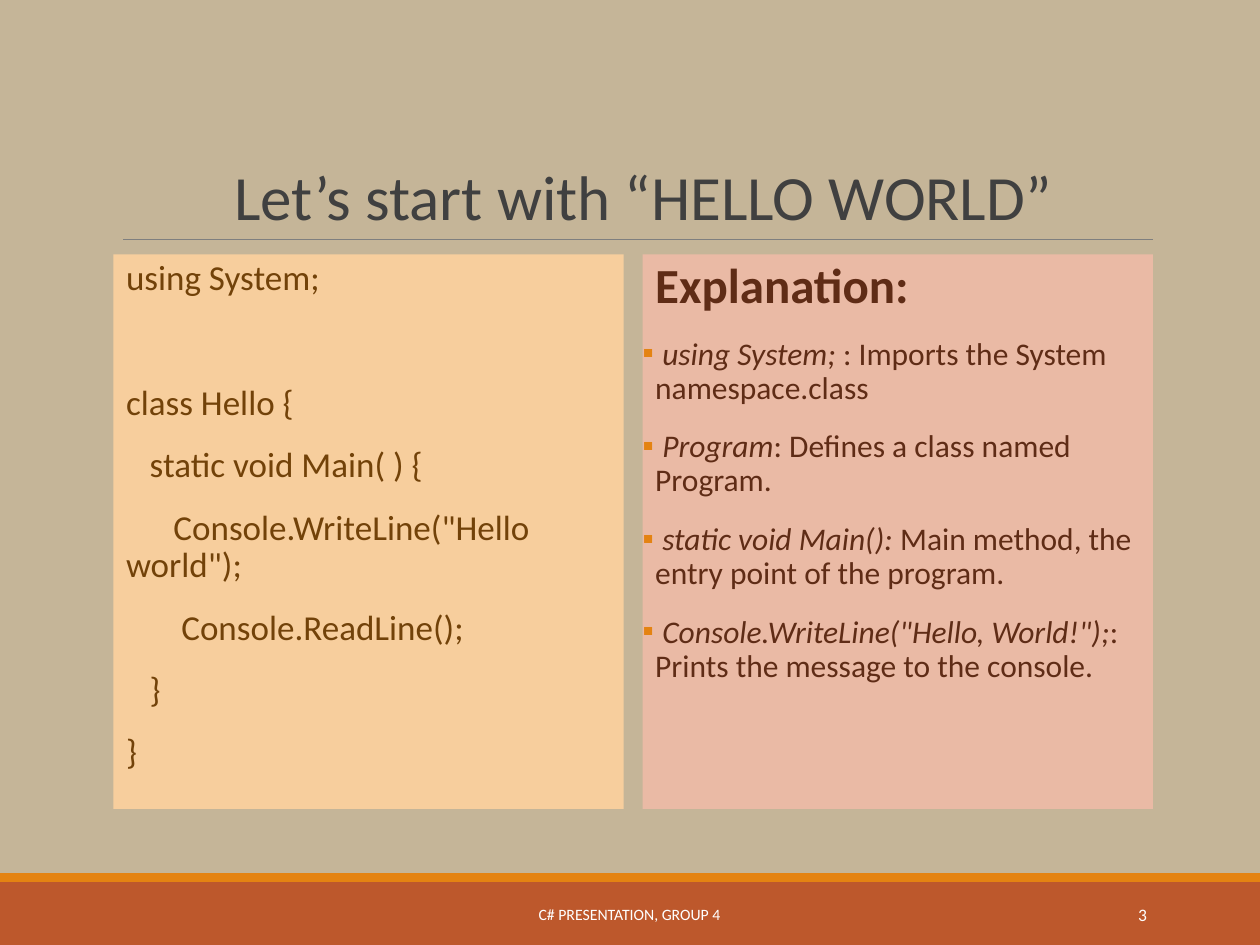
from lxml.etree import SubElement
from pptx import Presentation
from pptx.dml.color import RGBColor
from pptx.enum.shapes import MSO_CONNECTOR, MSO_SHAPE
from pptx.enum.text import MSO_ANCHOR as Anchor, PP_ALIGN as Align
from pptx.oxml.ns import qn
from pptx.util import Inches, Pt

SAND = RGBColor(0xC5, 0xB5, 0x98)
RUST = RGBColor(0xBD, 0x58, 0x2C)
ORANGE = RGBColor(0xE4, 0x83, 0x12)
GREY = RGBColor(0x7F, 0x7F, 0x7F)
CHARCOAL = RGBColor(0x40, 0x40, 0x40)
PEACH = RGBColor(0xF7, 0xCE, 0x9D)
PINK = RGBColor(0xEA, 0xBA, 0xA5)
BROWN = RGBColor(0x72, 0x42, 0x09)
MAROON = RGBColor(0x5F, 0x2C, 0x16)
WHITE = RGBColor(0xFF, 0xFF, 0xFF)

COLUMNS, ROWS = 200, 150
MARGIN, CONTENT_WIDTH, GUTTER = 18, 165, 3
PANEL_WIDTH = (CONTENT_WIDTH - GUTTER) / 2
PANEL_TOP, PANEL_HEIGHT = 40.4, 88
FOOTER_TOP, FOOTER_HEIGHT = 141.2, 8

CODE = [
    ("using System;", 0),
    ("class Hello {", 47.6),
    ("   static void Main( ) {", 12),
    ('      Console.WriteLine("Hello world");', 12),
    ("       Console.ReadLine();", 12),
    ("   }", 12),
    ("}", 12),
]
EXPLANATIONS = [
    (" using System; ", ": Imports the System namespace.class"),
    (" Program", ": Defines a class named Program."),
    (" static void Main(): ", "Main method, the entry point of the program."),
    (' Console.WriteLine("Hello, World!");', ": Prints the message to the console."),
]


def apply(target, values):
    for key, value in values.items():
        setattr(target, key, value)


class SlideBuilder:
    font_name = "Calibri"
    panel_spacing = {"line_spacing": 0.9, "space_after": Pt(2)}

    def __init__(self, deck):
        self.slide = deck.slides.add_slide(deck.slide_layouts[6])
        self.cell_width = deck.slide_width / COLUMNS
        self.cell_height = deck.slide_height / ROWS

    def place(self, *cells):
        units = (self.cell_width, self.cell_height) * 2
        return [round(cell * unit) for cell, unit in zip(cells, units)]

    def background(self, color):
        fill = self.slide.background.fill
        fill.solid()
        fill.fore_color.rgb = color

    def block(self, cells, color):
        shape = self.slide.shapes.add_shape(MSO_SHAPE.RECTANGLE, *self.place(*cells))
        shape.shadow.inherit = False
        shape.fill.solid()
        shape.fill.fore_color.rgb = color
        shape.line.fill.background()
        return shape

    def rule(self, ends, color, width):
        line = self.slide.shapes.add_connector(MSO_CONNECTOR.STRAIGHT, *self.place(*ends))
        line.line.color.rgb = color
        line.line.width = Pt(width)
        SubElement(line._element.spPr, qn("a:effectLst"))

    def indent(self, paragraph, left, first=0):
        properties = paragraph._p.get_or_add_pPr()
        properties.set("marL", str(Inches(left)))
        properties.set("indent", str(Inches(first)))
        return properties

    def bullet(self, paragraph):
        properties = self.indent(paragraph, 0.1, -0.1)
        color = SubElement(properties, qn("a:buClr"))
        SubElement(color, qn("a:srgbClr"), val=str(ORANGE))
        SubElement(properties, qn("a:buFont"), typeface=self.font_name)
        SubElement(properties, qn("a:buChar"), char="▪")

    def add_text(self, paragraph, text, size, color, **style):
        run = paragraph.add_run()
        run.text = text
        apply(run.font, {"name": self.font_name, "size": Pt(size), **style})
        run.font.color.rgb = color

    def label(self, cells, text, size, color, anchor, **layout):
        frame = self.slide.shapes.add_textbox(*self.place(*cells)).text_frame
        apply(frame, {"word_wrap": True, "vertical_anchor": anchor})
        paragraph = frame.paragraphs[0]
        apply(paragraph, layout)
        self.add_text(paragraph, text, size, color)
        return paragraph

    def panel(self, column, color):
        left = MARGIN + column * (PANEL_WIDTH + GUTTER)
        shape = self.block((left, PANEL_TOP, PANEL_WIDTH, PANEL_HEIGHT), color)
        frame = shape.text_frame
        apply(frame, {"word_wrap": True, "vertical_anchor": Anchor.TOP,
                      "margin_left": 0, "margin_right": 0})
        return frame

    def panel_line(self, frame, runs, size, color, before=12, bulleted=False):
        first = frame.paragraphs[0]
        paragraph = frame.add_paragraph() if first.runs else first
        if bulleted:
            self.bullet(paragraph)
        else:
            self.indent(paragraph, 0.1)
        apply(paragraph, {"alignment": Align.LEFT, **self.panel_spacing})
        if before:
            paragraph.space_before = Pt(before)
        for text, style in runs:
            self.add_text(paragraph, text, size, color, **style)


def main():
    deck = Presentation()
    apply(deck, {"slide_width": Inches(10), "slide_height": Inches(7.5)})
    page = SlideBuilder(deck)
    page.background(SAND)
    page.block((0, 140, COLUMNS, 10), RUST)
    page.block((0, 138.6, COLUMNS, 1.4), ORANGE)
    page.rule((19.6, 38, MARGIN + CONTENT_WIDTH, 38), GREY, 0.5)

    title = page.label((MARGIN, 6.2, CONTENT_WIDTH, 31.8), "Let’s start with “HELLO WORLD”",
                       36, CHARCOAL, Anchor.BOTTOM, line_spacing=0.85)
    page.indent(title, 0.86)

    code = page.panel(0, PEACH)
    for text, before in CODE:
        page.panel_line(code, [(text, {})], 20, BROWN, before)

    explanation = page.panel(1, PINK)
    page.panel_line(explanation, [("Explanation:", {"bold": True})], 28, MAROON, before=0)
    for term, meaning in EXPLANATIONS:
        page.panel_line(explanation, [(term, {"italic": True}), (meaning, {})],
                        18, MAROON, bulleted=True)

    page.label((60.4, FOOTER_TOP, 79, FOOTER_HEIGHT), "C# PRESENTATION, GROUP 4",
               9, WHITE, Anchor.MIDDLE, alignment=Align.CENTER)
    page.label((162.4, FOOTER_TOP, 21.6, FOOTER_HEIGHT), "3",
               10, WHITE, Anchor.MIDDLE, alignment=Align.RIGHT)
    deck.save("out.pptx")


if __name__ == "__main__":
    main()
